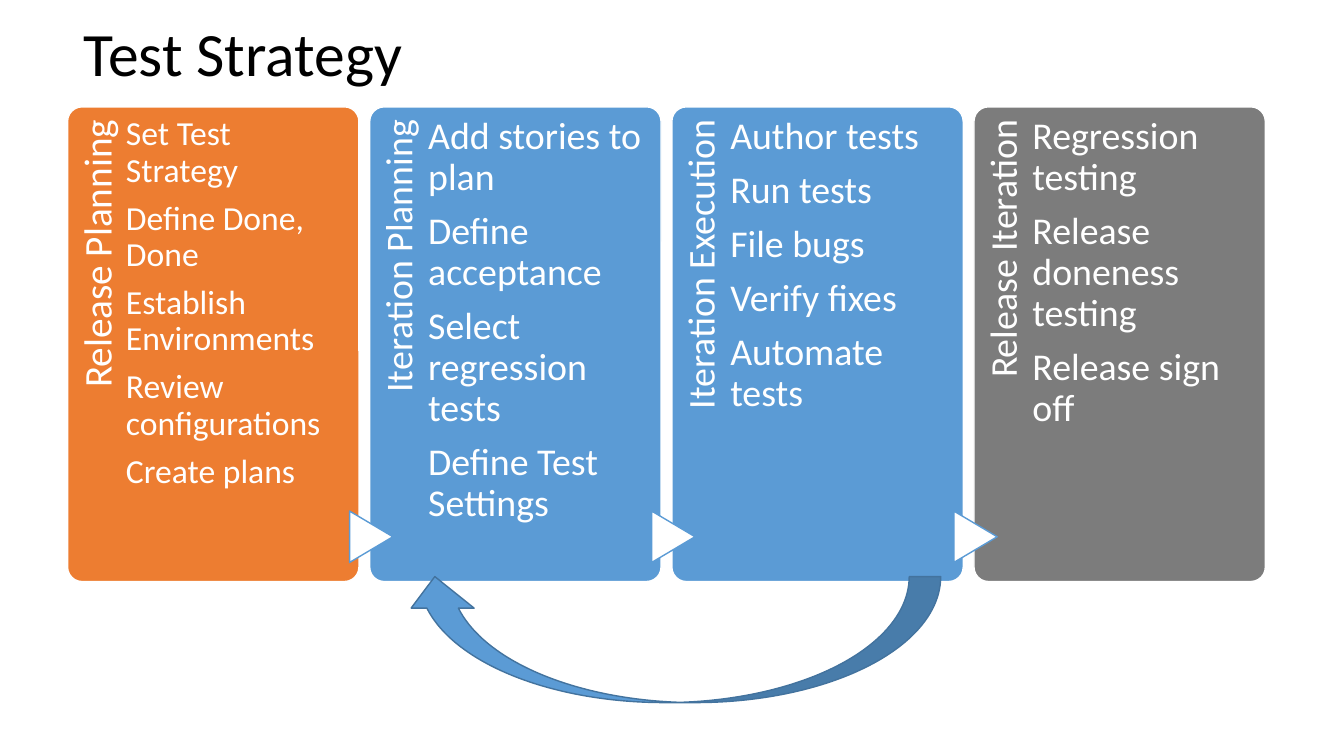
from dataclasses import dataclass

from pptx import Presentation
from pptx import util as u
from pptx.dml.color import RGBColor
from pptx.enum import shapes, text

WHITE = RGBColor(0xFF, 0xFF, 0xFF)
BLACK = RGBColor(0x00, 0x00, 0x00)
ORANGE = RGBColor(0xED, 0x7D, 0x31)
BLUE = RGBColor(0x5B, 0x9B, 0xD5)
DARK_BLUE = RGBColor(0x43, 0x73, 0x9E)
GRAY = RGBColor(0x7C, 0x7C, 0x7C)

FONT = "Calibri"
FIRST_LEFT, LAST_LEFT = 0.67, 9.66
PANEL_TOP, PANEL_WIDTH, PANEL_HEIGHT = 1.06, 2.89, 4.71


@dataclass(frozen=True)
class Box:
    """Position and size in inches, rotation in degrees."""
    left: float
    top: float
    width: float
    height: float
    rotation: float = 0

    def lengths(self) -> list[u.Length]:
        return [u.Inches(n) for n in (self.left, self.top, self.width, self.height)]


@dataclass(frozen=True)
class Phase:
    name: str
    color: RGBColor
    tasks: list[str]
    name_size: int = 27
    task_size: int = 27


PHASES = [
    Phase("Release Planning", ORANGE,
          ["Set Test Strategy", "Define Done, Done", "Establish Environments",
           "Review configurations", "Create plans"], name_size=28, task_size=24),
    Phase("Iteration Planning", BLUE,
          ["Add stories to plan", "Define acceptance", "Select regression tests",
           "Define Test Settings"]),
    Phase("Iteration Execution", BLUE,
          ["Author tests", "Run tests", "File bugs", "Verify fixes", "Automate tests"]),
    Phase("Release Iteration", GRAY,
          ["Regression testing", "Release doneness testing", "Release sign off"]),
]


def add_text(page, box: Box, lines: list[str], *, size: int, color: RGBColor = WHITE,
             align=text.PP_ALIGN.LEFT, anchor=text.MSO_ANCHOR.TOP,
             insets: tuple[float, float, float, float] = (0, 0.1, 0, 0),
             gap: float = 0.35) -> None:
    """Write one paragraph per line; gap is the space after, as a share of size."""
    holder = page.shapes.add_textbox(*box.lengths())
    holder.rotation = box.rotation
    frame = holder.text_frame
    frame.word_wrap = True
    frame.vertical_anchor = anchor
    (frame.margin_left, frame.margin_top,
     frame.margin_right, frame.margin_bottom) = [u.Inches(n) for n in insets]
    for index, line in enumerate(lines):
        para = frame.add_paragraph() if index else frame.paragraphs[0]
        para.alignment = align
        para.line_spacing = 0.9
        para.space_after = u.Pt(size * gap)
        span = para.add_run()
        span.text = line
        span.font.name = FONT
        span.font.size = u.Pt(size)
        span.font.color.rgb = color


def add_figure(page, kind: shapes.MSO_SHAPE, box: Box, fill: RGBColor, line: RGBColor):
    figure = page.shapes.add_shape(kind, *box.lengths())
    figure.rotation = box.rotation
    figure.shadow.inherit = False
    figure.fill.solid()
    figure.fill.fore_color.rgb = fill
    figure.line.color.rgb = line
    figure.line.width = u.Pt(1)
    return figure


def add_phase(page, phase: Phase, left: float, follows: bool) -> None:
    """Draw a panel; one that follows another gets a pointer on its left edge."""
    panel = add_figure(page, shapes.MSO_SHAPE.ROUNDED_RECTANGLE,
                       Box(left, PANEL_TOP, PANEL_WIDTH, PANEL_HEIGHT), phase.color, WHITE)
    panel.adjustments[0] = 0.05
    add_text(page, Box(left - 1.64, 2.7, 3.86, 0.58, 270), [phase.name],
             size=phase.name_size, align=text.PP_ALIGN.RIGHT, insets=(0, 0.1, 0.13, 0))
    if follows:
        add_figure(page, shapes.MSO_SHAPE.FLOWCHART_EXTRACT,
                   Box(left - 0.24, 5.11, 0.51, 0.43, 90), WHITE, BLUE)
    add_text(page, Box(left + 0.58, PANEL_TOP, 2.16, PANEL_HEIGHT), phase.tasks,
             size=phase.task_size)


def main() -> None:
    deck = Presentation()
    deck.slide_width, deck.slide_height = u.Inches(13.33), u.Inches(7.5)
    page = deck.slides.add_slide(deck.slide_layouts[6])

    pitch = (LAST_LEFT - FIRST_LEFT) / (len(PHASES) - 1)
    for index, phase in enumerate(PHASES):
        add_phase(page, phase, FIRST_LEFT + index * pitch, follows=index > 0)

    add_figure(page, shapes.MSO_SHAPE.CURVED_DOWN_ARROW,
               Box(4, 5.72, 5.33, 1.25, 180), BLUE, DARK_BLUE)
    add_text(page, Box(0.73, 0.18, 11.5, 0.77), ["Test Strategy"], size=44, color=BLACK,
             anchor=text.MSO_ANCHOR.MIDDLE, insets=(0.1, 0.05, 0.1, 0.05), gap=0)
    deck.save("out.pptx")


if __name__ == "__main__":
    main()
